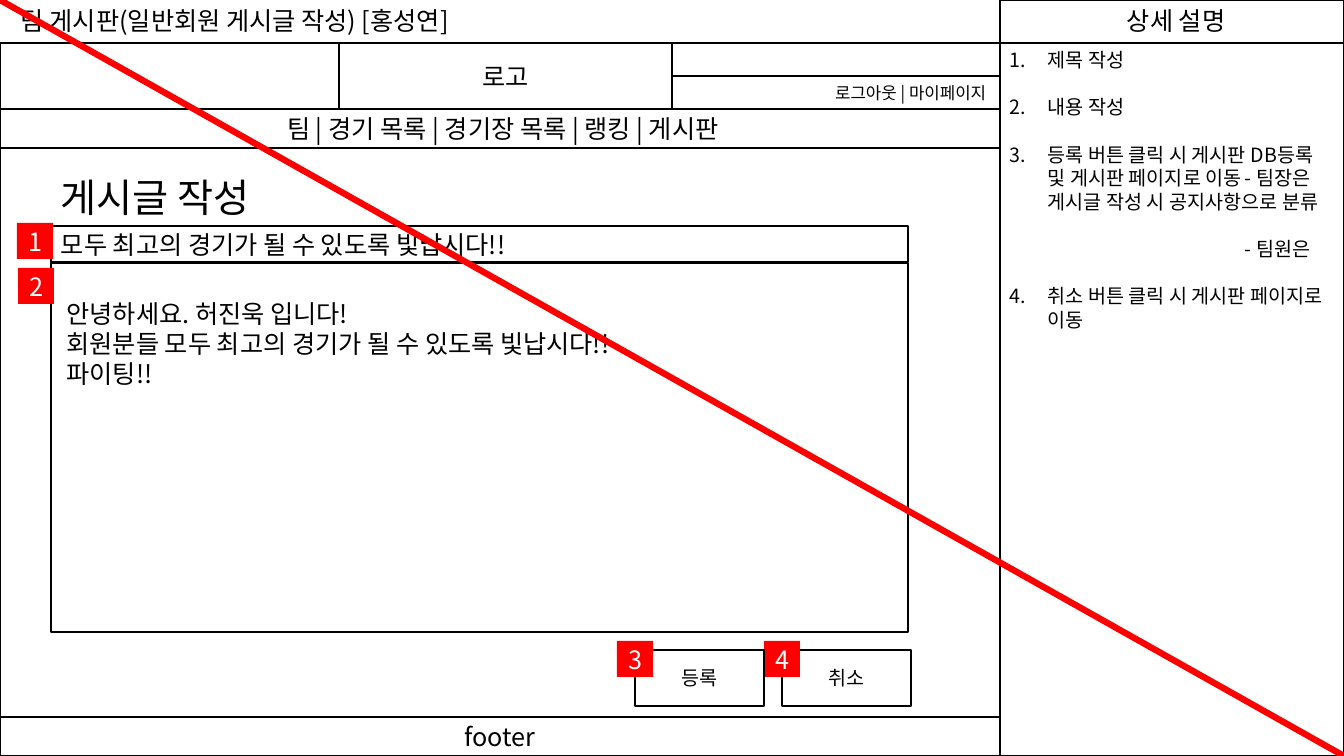
from lxml.etree import SubElement
from pptx import Presentation
from pptx.dml.color import RGBColor
from pptx.enum.shapes import MSO_CONNECTOR, MSO_SHAPE
from pptx.enum.text import MSO_ANCHOR, PP_ALIGN
from pptx.oxml.ns import qn
from pptx.util import Emu, Pt

PX = 914400 / 100.8
WIDTH, HEIGHT = 1344, 756
BLACK, WHITE, RED = "000000", "FFFFFF", "FF0000"
LEFT, CENTER, RIGHT = PP_ALIGN.LEFT, PP_ALIGN.CENTER, PP_ALIGN.RIGHT


def px(length):
    return Emu(round(length * PX))


def color(value):
    return RGBColor.from_string(value)


class Wireframe:
    """Holds the text style and the slide that is being drawn."""

    font_name = "Noto Sans CJK KR"
    line_factor = 1.2

    def __init__(self, slide):
        self.slide = slide

    def add_text(self, frame, lines, size, ink=BLACK, align=LEFT, gap=0,
                 numbered=False, tabs=()):
        for index, line in enumerate(lines):
            paragraph = frame.paragraphs[0] if index == 0 else frame.add_paragraph()
            paragraph.text = line
            spacing = {
                "alignment": align,
                "line_spacing": Pt(size * self.line_factor),
                "space_before": Pt(gap if index else 0),
            }
            for name, value in spacing.items():
                setattr(paragraph, name, value)
            if numbered:
                self.number(paragraph, tabs)
            for run in paragraph.runs:
                style = {"size": Pt(size), "name": self.font_name}
                for name, value in style.items():
                    setattr(run.font, name, value)
                run.font.color.rgb = color(ink)
                east_asian = SubElement(run._r.get_or_add_rPr(), qn("a:ea"))
                east_asian.set("typeface", self.font_name)

    def number(self, paragraph, tabs):
        properties = paragraph._p.get_or_add_pPr()
        properties.set("marL", str(px(38)))
        properties.set("indent", str(-px(38)))
        SubElement(properties, qn("a:buFont"), typeface="+mj-lt")
        SubElement(properties, qn("a:buAutoNum"), type="arabicPeriod")
        tab_list = SubElement(properties, qn("a:tabLst"))
        for stop in tabs:
            SubElement(tab_list, qn("a:tab"), pos=str(px(stop)), algn="l")

    def box(self, x, y, width, height, lines=(), size=18, fill=WHITE,
            border=1, anchor=MSO_ANCHOR.MIDDLE, top=5, **text):
        shape = self.slide.shapes.add_shape(
            MSO_SHAPE.RECTANGLE, px(x), px(y), px(width), px(height))
        shape.shadow.inherit = False
        shape.fill.solid()
        shape.fill.fore_color.rgb = color(fill)
        if border:
            shape.line.color.rgb = color(BLACK)
            shape.line.width = Pt(border)
        else:
            shape.line.fill.background()
        frame = shape.text_frame
        layout = {"word_wrap": True, "vertical_anchor": anchor, "margin_top": px(top)}
        for name, value in layout.items():
            setattr(frame, name, value)
        self.add_text(frame, lines, size, **text)

    def label(self, x, y, width, height, lines, size=18, wrap=False, **text):
        shape = self.slide.shapes.add_textbox(px(x), px(y), px(width), px(height))
        shape.text_frame.word_wrap = wrap
        self.add_text(shape.text_frame, lines, size, **text)

    def badge(self, x, y, number):
        self.box(x, y, 36, 36, [str(number)], fill=RED, border=0,
                 ink=WHITE, align=CENTER)

    def line(self, start, end, ink, width):
        connector = self.slide.shapes.add_connector(
            MSO_CONNECTOR.STRAIGHT, *map(px, start + end))
        connector.line.color.rgb = color(ink)
        connector.line.width = Pt(width)
        SubElement(connector._element.spPr, qn("a:effectLst"))


def main():
    presentation = Presentation()
    presentation.slide_width = px(WIDTH)
    presentation.slide_height = px(HEIGHT)
    page = Wireframe(presentation.slides.add_slide(presentation.slide_layouts[6]))
    main_width = 1000
    panel_width = WIDTH - main_width

    # Description panel frame
    page.box(main_width, 43, panel_width, 713)
    page.box(main_width, 0, panel_width, 43)
    page.label(1117, 0, 131, 40, ["상세 설명"])

    # Page frame, header and menu
    page.box(0, 109, main_width, 608)
    page.box(0, 43, main_width, 105)
    page.box(339, 43, 333, 66, ["로고"], align=CENTER)
    page.box(0, 109, main_width, 39,
             [" 팀 | 경기 목록 | 경기장 목록 | 랭킹 | 게시판"], align=CENTER)
    page.box(672, 76, 328, 33, ["로그아웃 | 마이페이지 "], size=12, align=RIGHT)

    # Titles
    page.label(11, 0, 495, 40, ["팀 게시판(일반회원 게시글 작성) [홍성연]"])
    page.label(51, 168, 232, 57, ["게시글 작성"], size=28)

    # Numbered descriptions
    page.label(main_width, 43, panel_width, 319, [
        "제목 작성",
        "내용 작성",
        "등록 버튼 클릭 시 게시판 DB등록 및 게시판 페이지로 이동\t- "
        "팀장은 게시글 작성 시 공지사항으로 분류\v\v\t- 팀원은",
        "취소 버튼 클릭 시 게시판 페이지로 이동",
    ], size=14, wrap=True, gap=17, numbered=True, tabs=(38, 235))

    # Post form
    page.box(51, 226, 857, 36, ["모두 최고의 경기가 될 수 있도록 빛납시다!!"])
    page.box(51, 263, 857, 369, [
        " 안녕하세요. 허진욱 입니다!",
        " 회원분들 모두 최고의 경기가 될 수 있도록 빛납시다!!",
        " 파이팅!!",
    ], anchor=MSO_ANCHOR.TOP, top=35)
    page.badge(17, 223, 1)
    page.badge(18, 268, 2)

    # Buttons, each with its badge at the upper left corner
    for x, caption, number in ((782, "취소", 4), (635, "등록", 3)):
        page.box(x, 650, 129, 56, [caption], size=14, border=1.5, align=CENTER)
        page.badge(x - 18, 641, number)

    # Footer and strike-through line
    page.box(0, 717, main_width, 39, ["footer"], align=CENTER)
    page.line((0, 0), (WIDTH, HEIGHT), RED, 4.5)

    presentation.save("out.pptx")


if __name__ == "__main__":
    main()
